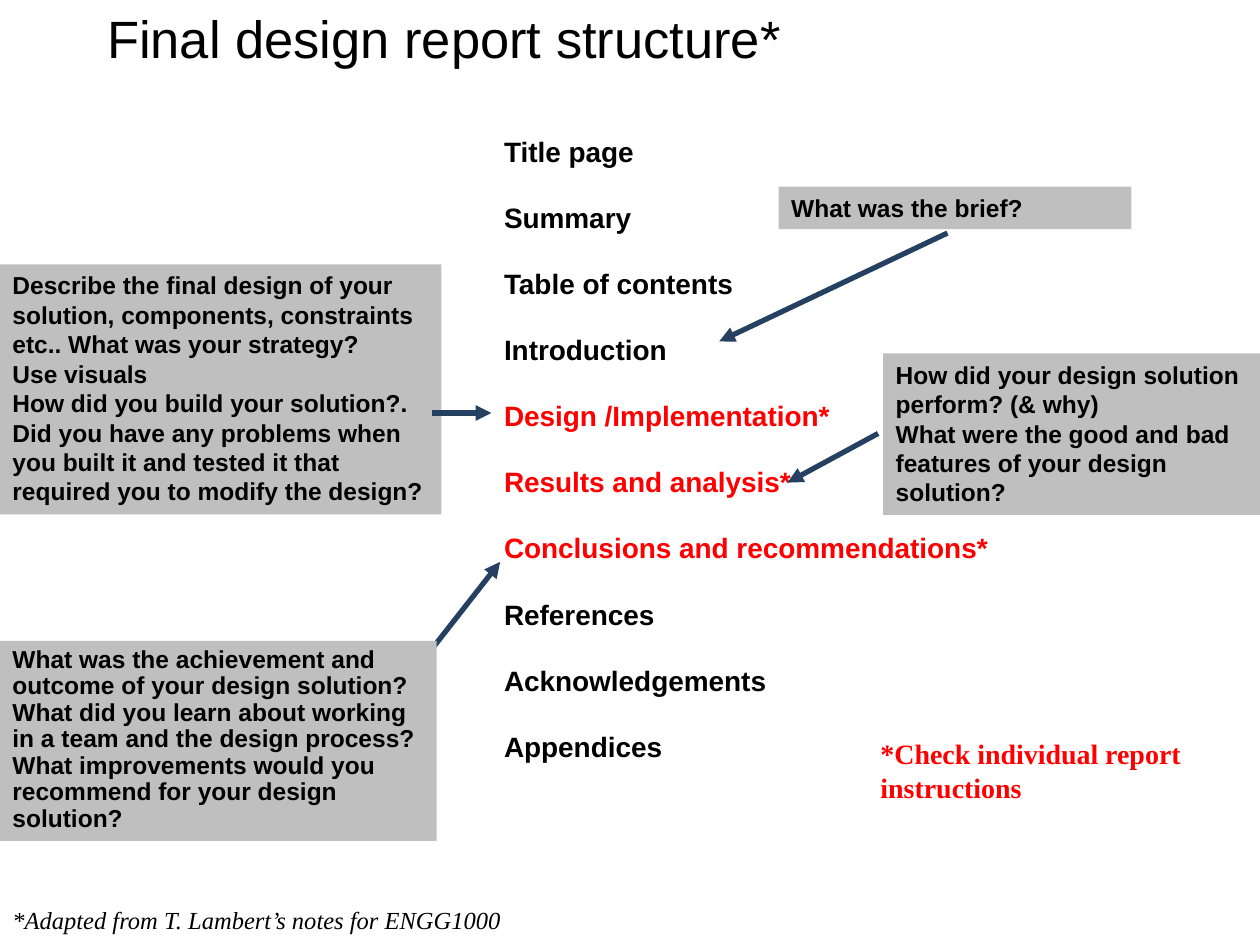
from lxml import etree
from pptx import Presentation
from pptx.dml.color import RGBColor
from pptx.enum.shapes import MSO_CONNECTOR, MSO_SHAPE
from pptx.enum.text import MSO_ANCHOR, MSO_AUTO_SIZE, PP_ALIGN
from pptx.oxml.ns import qn
from pptx.util import Pt

RECTANGLE = MSO_SHAPE.RECTANGLE
STRAIGHT = MSO_CONNECTOR.STRAIGHT
TOP = MSO_ANCHOR.TOP
LEFT = PP_ALIGN.LEFT
NO_AUTOFIT = MSO_AUTO_SIZE.NONE

BLACK = RGBColor(0x00, 0x00, 0x00)
RED = RGBColor(0xFF, 0x00, 0x00)
GREY = RGBColor(0xBF, 0xBF, 0xBF)
NAVY = RGBColor(0x25, 0x40, 0x61)
SANS = "Arial"
SERIF = "Times New Roman"

SECTIONS = [
    "Title page", "Summary", "Table of contents", "Introduction",
    "Design /Implementation*", "Results and analysis*",
    "Conclusions and recommendations*", "References",
    "Acknowledgements", "Appendices",
]

# Each question box: left, top, width, height, line spacing, paragraphs
BRIEF = (445, 106.6, 201.6, 24.4, 1, ["What was the brief?"])
PERFORMANCE = (504.7, 202, 215.3, 92.2, 1, [
    "How did your design solution perform? (& why)",
    "What were the good and bad features of your design solution?",
])
OUTCOME = (0, 366.3, 249.6, 114.3, 0.9, [
    "What was the achievement and outcome of your design solution?",
    "What did you learn about working in a team and the design process?",
    "What improvements would you recommend for your design solution?",
])
DESIGN = (0, 151, 252.2, 143, 1, [
    "Describe the final design of your solution, components, constraints "
    "etc.. What was your strategy?",
    "Use visuals",
    "How did you build your solution?.",
    "Did you have any problems when you built it and tested it that "
    "required you to modify the design?",
])


def place(shape, left, top, width, height):
    shape.left, shape.top = Pt(left), Pt(top)
    shape.width, shape.height = Pt(width), Pt(height)


def write(shape, paragraphs, size, font=SANS, color=BLACK, bold=False, italic=False):
    frame = shape.text_frame
    frame.text = "\n".join(paragraphs)
    frame.word_wrap = True
    frame.auto_size = NO_AUTOFIT
    frame.vertical_anchor = TOP
    for paragraph in frame.paragraphs:
        paragraph.alignment = LEFT
        for run in paragraph.runs:
            run.font.name = font
            run.font.size = Pt(size)
            run.font.bold = bold
            run.font.italic = italic
            run.font.color.rgb = color


def fill_section_list(body):
    place(body, 280.8, 77, 300, 391.7)
    write(body, SECTIONS, 16, bold=True)
    for position, paragraph in enumerate(body.text_frame.paragraphs):
        paragraph.line_spacing = 0.8
        paragraph.space_before = Pt(22.4 if position else 0)
        properties = paragraph._p.get_or_add_pPr()
        properties.set("marL", "0")
        properties.set("indent", "0")
        etree.SubElement(properties, qn("a:buNone"))
        # Starred sections are highlighted
        if paragraph.text.endswith("*"):
            paragraph.runs[0].font.color.rgb = RED


def add_question_box(slide, left, top, width, height, spacing, questions):
    box = slide.shapes.add_shape(RECTANGLE, Pt(left), Pt(top), Pt(width), Pt(height))
    box.shadow.inherit = False
    box.fill.solid()
    box.fill.fore_color.rgb = GREY
    box.line.fill.background()
    write(box, questions, 14, bold=True)
    for paragraph in box.text_frame.paragraphs:
        paragraph.line_spacing = spacing


def add_arrow(slide, x1, y1, x2, y2):
    arrow = slide.shapes.add_connector(STRAIGHT, Pt(x1), Pt(y1), Pt(x2), Pt(y2))
    arrow.line.color.rgb = NAVY
    arrow.line.width = Pt(3)
    etree.SubElement(arrow.line._get_or_add_ln(), qn("a:tailEnd"), type="triangle")
    etree.SubElement(arrow._element.spPr, qn("a:effectLst"))


def add_note(slide, left, top, width, height, text, size, **style):
    note = slide.shapes.add_textbox(Pt(left), Pt(top), Pt(width), Pt(height))
    write(note, [text], size, font=SERIF, **style)


def main():
    deck = Presentation()
    deck.slide_width, deck.slide_height = Pt(720), Pt(540)
    slide = deck.slides.add_slide(deck.slide_layouts[1])

    # Title and report sections
    title = slide.shapes.title
    place(title, 54, 0, 612, 90)
    write(title, ["Final design report structure*"], 30)
    fill_section_list(slide.placeholders[1])

    # Questions pointing at their sections
    add_arrow(slide, 541.4, 133.2, 411, 195.1)
    add_question_box(slide, *BRIEF)
    add_arrow(slide, 501.8, 247.7, 450, 275.8)
    add_question_box(slide, *PERFORMANCE)
    add_arrow(slide, 241.2, 378, 285.8, 321.1)
    add_question_box(slide, *OUTCOME)
    add_question_box(slide, *DESIGN)
    add_arrow(slide, 247, 236, 280.8, 236)

    # Source credit and reminder
    add_note(slide, 0, 513.4, 371.5, 24, "*Adapted from T. Lambert’s notes for ENGG1000",
             14, italic=True)
    add_note(slide, 496, 417.6, 209.5, 46, "*Check individual report instructions",
             16, color=RED, bold=True)

    deck.save("out.pptx")


if __name__ == "__main__":
    main()
